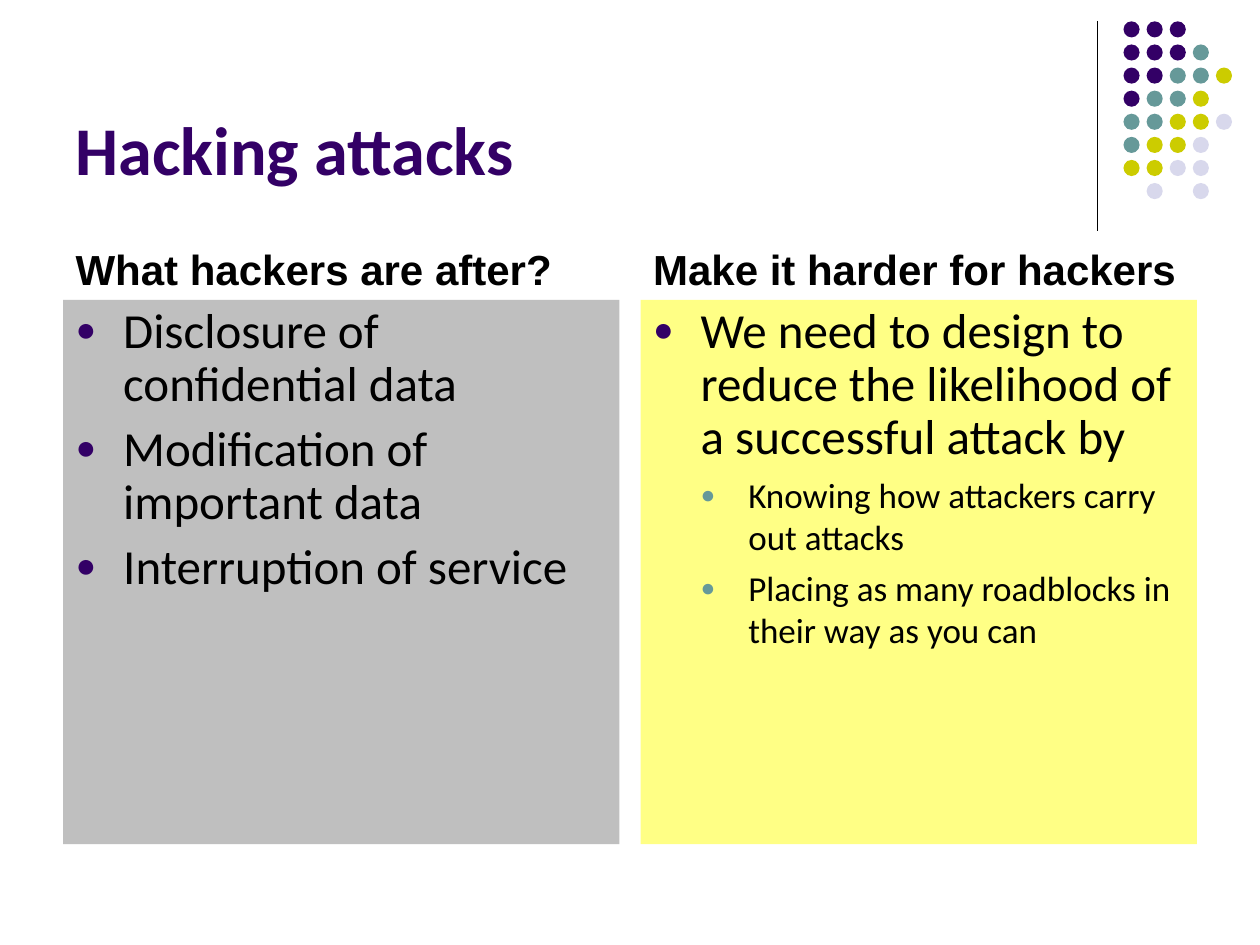
import pptx
import pptx.util
import pptx.dml.color
import pptx.enum.shapes
import pptx.enum.text
import pptx.oxml.ns
import lxml.etree

Pt = pptx.util.Pt
DARK, TEAL, LIME, PALE = "330066", "669999", "CCCC00", "D8D8EC"
TINTS = {"D": DARK, "T": TEAL, "L": LIME, "P": PALE}
DOTS = ("DDD", "DDDT", "DDTTL", "DTTL", "TTLLP", "TLLP", "LLPP", " P P")
LEVELS = ((28, 7, 0.9, DARK), (20, 5, 1.0, TEAL))
COLS = (
    (36, "What hackers are after?", "BFBFBF", (
        (0, "Disclosure of confidential data"),
        (0, "Modification of important data"),
        (0, "Interruption of service"))),
    (366, "Make it harder for hackers", "FFFF85", (
        (0, "We need to design to reduce the likelihood of a successful attack by"),
        (1, "Knowing how attackers carry out attacks"),
        (1, "Placing as many roadblocks in their way as you can"))),
)


def rgb(code):
    """Turn a hex string into a colour."""
    return pptx.dml.color.RGBColor.from_string(code)


def paint(shape, code):
    """Fill a shape with one colour."""
    shape.fill.solid()
    shape.fill.fore_color.rgb = rgb(code)


def place(shape, left, top, width, height, anchor):
    """Move a placeholder and return its cleared text frame."""
    shape.left, shape.top = Pt(left), Pt(top)
    shape.width, shape.height = Pt(width), Pt(height)
    frame = shape.text_frame
    frame.word_wrap = True
    frame.auto_size = pptx.enum.text.MSO_AUTO_SIZE.NONE
    frame.vertical_anchor = anchor
    return frame


def write(par, text, size, font, code, bold=False):
    """Add one left-aligned run to a paragraph."""
    par.alignment = pptx.enum.text.PP_ALIGN.LEFT
    run = par.add_run()
    run.text = text
    run.font.size, run.font.name, run.font.bold = Pt(size), font, bold
    run.font.color.rgb = rgb(code)


def mark(par, level, code):
    """Give a paragraph a round bullet and a hanging indent."""
    props = par._p.get_or_add_pPr()
    props.set("marL", str(Pt(27.2 * (level + 1))))
    props.set("indent", str(-Pt(27.2)))
    qn = pptx.oxml.ns.qn
    tint = lxml.etree.SubElement(props, qn("a:buClr"))
    lxml.etree.SubElement(tint, qn("a:srgbClr"), val=code)
    lxml.etree.SubElement(props, qn("a:buSzPct"), val="70000")
    lxml.etree.SubElement(props, qn("a:buFont"), typeface="Arial")
    lxml.etree.SubElement(props, qn("a:buChar"), char="●")


def fill_list(frame, items):
    """Write bulleted items of one or two levels."""
    for i, (level, text) in enumerate(items):
        par = frame.add_paragraph() if i else frame.paragraphs[0]
        size, gap, lead, code = LEVELS[level]
        par.level = level
        par.space_before, par.line_spacing = Pt(gap), lead
        write(par, text, size, "Calibri", "000000")
        mark(par, level, code)


def add_rule(slide):
    """Draw the upright line beside the dots."""
    kind = pptx.enum.shapes.MSO_CONNECTOR.STRAIGHT
    rule = slide.shapes.add_connector(kind, Pt(627), Pt(12), Pt(627), Pt(132))
    rule.line.color.rgb = rgb("000000")
    rule.line.width = Pt(0.75)
    lxml.etree.SubElement(rule._element.spPr, pptx.oxml.ns.qn("a:effectLst"))


def add_dots(slide):
    """Draw the grid of coloured dots as one group."""
    group = slide.shapes.add_group_shape()
    oval = pptx.enum.shapes.MSO_SHAPE.OVAL
    for row, keys in enumerate(DOTS):
        for col, key in enumerate(keys):
            if key in TINTS:
                dot = group.shapes.add_shape(
                    oval, Pt(642 + 13.2 * col), Pt(12.2 + 13.2 * row), Pt(9.2), Pt(9.2))
                dot.shadow.inherit = False
                paint(dot, TINTS[key])
                dot.line.fill.background()


def main():
    """Build and save the slide."""
    deck = pptx.Presentation()
    deck.slide_width, deck.slide_height = Pt(720), Pt(540)
    slide = deck.slides.add_slide(deck.slide_layouts[4])
    anchor = pptx.enum.text.MSO_ANCHOR
    add_rule(slide)
    add_dots(slide)
    frame = place(slide.shapes.title, 36, 21.6, 648, 90, anchor.BOTTOM)
    write(frame.paragraphs[0], "Hacking attacks", 39, "Calibri", DARK, True)
    for i, (left, head, code, items) in enumerate(COLS):
        frame = place(slide.placeholders[1 + 2 * i], left, 121, 318, 50.4, anchor.BOTTOM)
        frame.paragraphs[0].space_before = Pt(6)
        write(frame.paragraphs[0], head, 24, "Arial", "000000", True)
        panel = slide.placeholders[2 + 2 * i]
        frame = place(panel, left, 171.4, 318, 311, anchor.TOP)
        paint(panel, code)
        fill_list(frame, items)
    deck.save("out.pptx")


if __name__ == "__main__":
    main()
